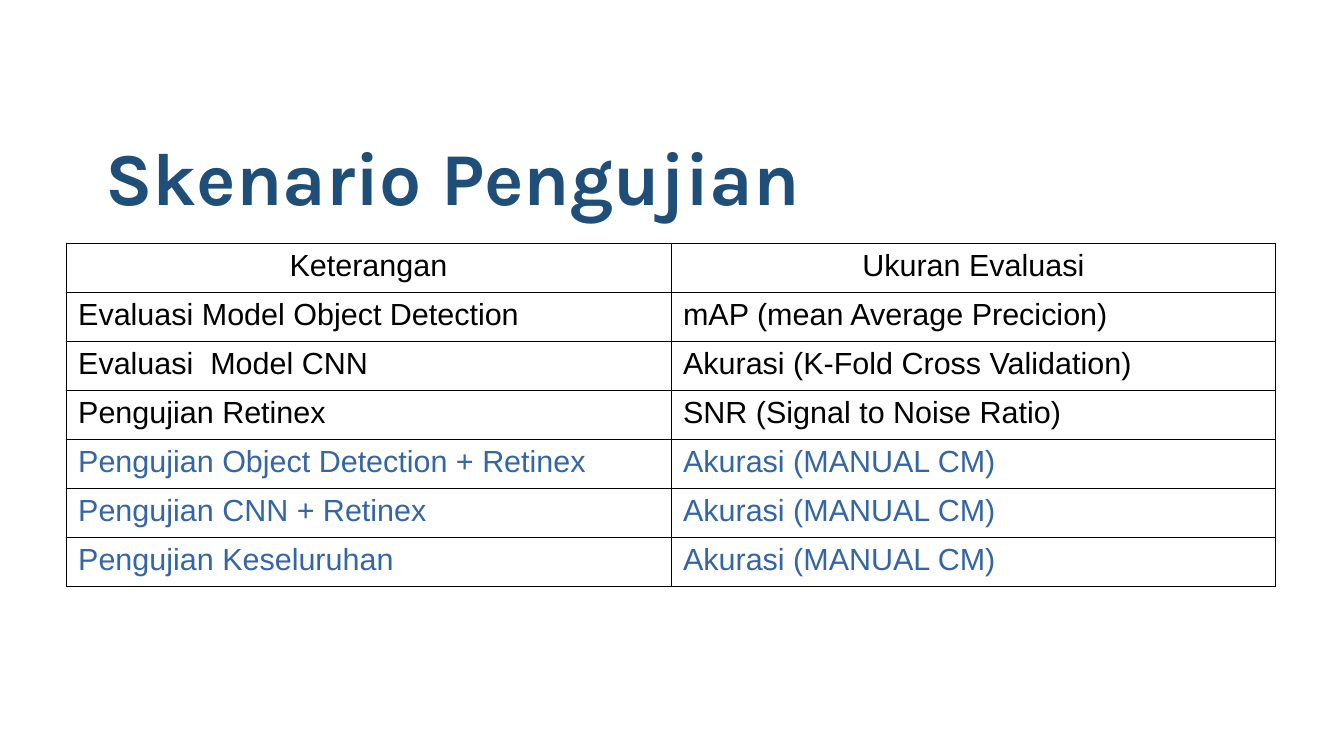
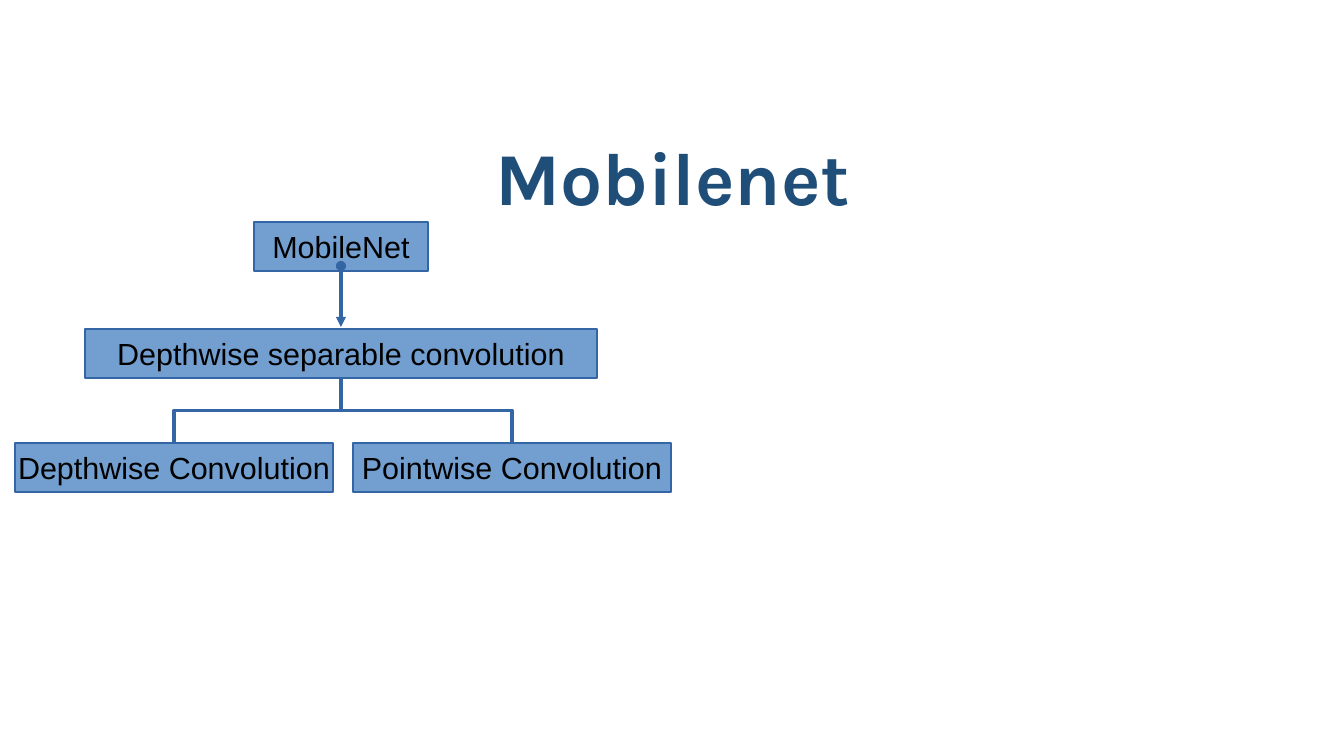
from lxml import etree
from pptx import Presentation
from pptx.dml.color import RGBColor
from pptx.enum.shapes import MSO_CONNECTOR, MSO_SHAPE
from pptx.enum.text import MSO_ANCHOR, MSO_AUTO_SIZE, PP_ALIGN
from pptx.oxml.ns import qn
from pptx.util import Pt

LEFT, CENTER = PP_ALIGN.LEFT, PP_ALIGN.CENTER
MIDDLE = MSO_ANCHOR.MIDDLE
STRAIGHT, ELBOW = MSO_CONNECTOR.STRAIGHT, MSO_CONNECTOR.ELBOW
RECT = MSO_SHAPE.RECTANGLE

WHITE = RGBColor(0xFF, 0xFF, 0xFF)
BLACK = RGBColor(0x00, 0x00, 0x00)
NAVY = RGBColor(0x1F, 0x4E, 0x79)
BLUE = RGBColor(0x34, 0x65, 0xA4)
LIGHT_BLUE = RGBColor(0x72, 0x9F, 0xCF)

PX = 914400 / 122
ROW_H = 49

prs = Presentation()
prs.slide_width, prs.slide_height = int(1344 * PX), int(756 * PX)


def write(tf, text, size, font, color, align, bold=False):
    p = tf.paragraphs[0]
    p.alignment = align
    r = p.add_run()
    r.text = text
    r.font.size, r.font.name, r.font.bold = Pt(size), font, bold
    r.font.color.rgb = color
    return p


def add_titled_slide(title, align):
    s = prs.slides.add_slide(prs.slide_layouts[5])
    sp = s.shapes.title
    sp.left, sp.top, sp.width, sp.height = [int(v * PX) for v in (93, 117, 1160, 128)]
    sp.fill.solid()
    sp.fill.fore_color.rgb = WHITE
    tf = sp.text_frame
    tf.auto_size = MSO_AUTO_SIZE.NONE
    tf.vertical_anchor = MIDDLE
    write(tf, title, 44, "Karla", NAVY, align, bold=True).line_spacing = 0.9
    return s


# Slide 1: test scenario table
s = add_titled_slide("Skenario Pengujian", LEFT)
rows = [
    ("Keterangan", "Ukuran Evaluasi"),
    ("Evaluasi Model Object Detection", "mAP (mean Average Precicion)"),
    ("Evaluasi  Model CNN", "Akurasi (K-Fold Cross Validation)"),
    ("Pengujian Retinex", "SNR (Signal to Noise Ratio)"),
    ("Pengujian Object Detection + Retinex", "Akurasi (MANUAL CM)"),
    ("Pengujian CNN + Retinex", "Akurasi (MANUAL CM)"),
    ("Pengujian Keseluruhan", "Akurasi (MANUAL CM)"),
]
FIRST_BLUE_ROW = 4
table = s.shapes.add_table(len(rows), 2, int(66 * PX), int(243 * PX),
                           int(1210 * PX), int(len(rows) * ROW_H * PX)).table
table.first_row = table.horz_banding = False
for i, row in enumerate(rows):
    for j, text in enumerate(row):
        cell = table.cell(i, j)
        write(cell.text_frame, text, 18, "Arial",
              BLUE if i >= FIRST_BLUE_ROW else BLACK, LEFT if i else CENTER)
        # Borders go before the fill in the cell properties
        tc_pr = cell._tc.get_or_add_tcPr()
        for side in ("a:lnL", "a:lnR", "a:lnT", "a:lnB"):
            ln = etree.SubElement(tc_pr, qn(side), w=str(Pt(0.57)))
            fill = etree.SubElement(ln, qn("a:solidFill"))
            etree.SubElement(fill, qn("a:srgbClr"), val=str(BLACK))
        cell.fill.background()

# Slide 2: convolution tree
s = add_titled_slide("Mobilenet", CENTER)
boxes = []
for text, x, y, w in [
    ("MobileNet", 254, 222, 174),
    ("Depthwise separable convolution", 85, 329, 512),
    ("Depthwise Convolution", 15, 443, 318),
    ("Pointwise Convolution", 353, 443, 318),
]:
    sp = s.shapes.add_shape(RECT, int(x * PX), int(y * PX), int(w * PX), int(ROW_H * PX))
    sp.shadow.inherit = False
    sp.fill.solid()
    sp.fill.fore_color.rgb = LIGHT_BLUE
    sp.line.color.rgb = BLUE
    sp.line.width = Pt(0)
    sp.text_frame.word_wrap = False
    sp.text_frame.vertical_anchor = MIDDLE
    write(sp.text_frame, text, 18, "Arial", BLACK, CENTER)
    boxes.append(sp)
root, separable, *children = boxes

# Elbows from the parent to its children, turned to leave downwards
lines = []
for child in children:
    line = s.shapes.add_connector(ELBOW, 0, 0, 0, 0)
    line.begin_connect(separable, 2)
    line.end_connect(child, 0)
    x1, y1, x2, y2 = line.begin_x, line.begin_y, line.end_x, line.end_y
    run, drop = abs(x2 - x1), y2 - y1
    xfrm = line._element.spPr.find(qn("a:xfrm"))
    xfrm.attrib.clear()
    if x2 < x1:
        xfrm.set("rot", "5400000")
    else:
        xfrm.set("rot", "16200000")
        xfrm.set("flipH", "1")
    line.left, line.top = (x1 + x2 - drop) // 2, (y1 + y2 - run) // 2
    line.width, line.height = drop, run
    lines.append(line)

# Arrow from inside the root box to just above the parent
x = root.left + root.width // 2
arrow = s.shapes.add_connector(STRAIGHT, x, int(266 * PX), x, int(327 * PX))
lines.append(arrow)

for line in lines:
    line.line.color.rgb = BLUE
    line.line.width = Pt(0)
    etree.SubElement(line._element.spPr, qn("a:effectLst"))
ln = arrow.line._get_or_add_ln()
etree.SubElement(ln, qn("a:headEnd"), type="oval")
etree.SubElement(ln, qn("a:tailEnd"), type="triangle")

prs.save("out.pptx")
